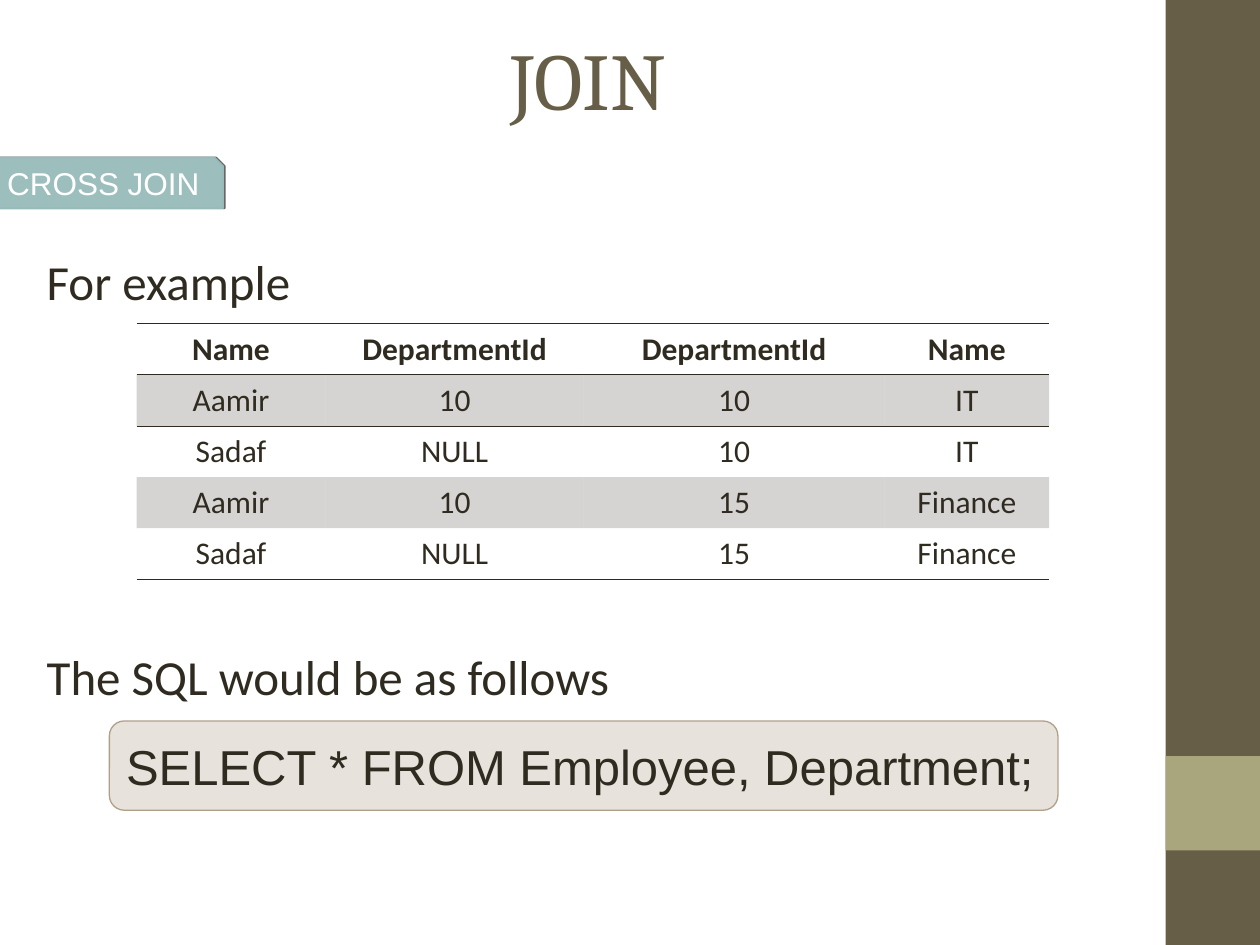
from dataclasses import dataclass

from lxml import etree
from pptx import Presentation
from pptx import util as u
from pptx.dml.color import RGBColor
from pptx.enum import shapes, text
from pptx.oxml.ns import qn

Pt = u.Pt
LEFT, MID, JUST = text.PP_ALIGN.LEFT, text.PP_ALIGN.CENTER, text.PP_ALIGN.JUSTIFY


@dataclass(frozen=True)
class Theme:
    olive: str = "675E47"
    sage: str = "A9A57C"
    teal: str = "9CBEBD"
    edge: str = "98BBB9"
    sand: str = "B1A089"
    ink: str = "2F2B20"
    white: str = "FFFFFF"
    black: str = "000000"
    serif: str = "Cambria"
    sans: str = "Calibri"
    plain: str = "Arial"
    head: float = 46
    body: float = 28
    small: float = 18


T = Theme()


def sub(node, tag, **attrs):
    kid = etree.SubElement(node, qn(tag))
    for key, val in attrs.items():
        kid.set(key, str(val))
    return kid


def place(shape, box):
    shape.left, shape.top, shape.width, shape.height = map(Pt, box)


def paint(fill, color, alpha=None):
    fill.solid()
    fill.fore_color.rgb = RGBColor.from_string(color)
    if alpha:
        node = fill._xPr.find(qn("a:solidFill"))[0]
        sub(node, "a:alpha", val=alpha * 1000)


def style(shape, color, line=None, width=1, alpha=None):
    shape.shadow.inherit = False
    paint(shape.fill, color, alpha)
    if line:
        paint(shape.line.fill, line)
        shape.line.width = Pt(width)
    else:
        shape.line.fill.background()


def write(para, words, font, size, color, align=LEFT, bold=False):
    para.alignment = align
    run = para.add_run()
    run.text = words
    run.font.name, run.font.size, run.font.bold = font, Pt(size), bold
    run.font.color.rgb = RGBColor.from_string(color)


def set_frame(shape, anchor):
    frame = shape.text_frame
    frame.word_wrap = True
    frame.auto_size = text.MSO_AUTO_SIZE.NONE
    frame.vertical_anchor = anchor
    return frame


# Side bar with its accent square
def add_bar(slide, box):
    x, y, w, h = box
    for color, part in ((T.olive, box), (T.sage, (x, y + 0.8 * h, w, w))):
        rect = slide.shapes.add_shape(shapes.MSO_SHAPE.RECTANGLE, *map(Pt, part))
        style(rect, color)


def add_title(slide, box, words):
    title = slide.shapes.title
    place(title, box)
    frame = set_frame(title, text.MSO_ANCHOR.MIDDLE)
    write(frame.paragraphs[0], words, T.serif, T.head, T.olive, MID)


# Topic tag with a cut corner and a thin shadow to the right
def add_tag(slide, box, words, cut=5):
    x, y, w, h = box
    pen = slide.shapes.build_freeform(Pt(x), Pt(y))
    ends = [(x + w - cut, y), (x + w, y + cut), (x + w, y + h), (x, y + h)]
    pen.add_line_segments([(Pt(a), Pt(b)) for a, b in ends], close=True)
    tag = pen.convert_to_shape()
    style(tag, T.teal, T.edge)
    glow = tag._element.spPr.find(qn("a:effectLst"))
    shade = sub(glow, "a:outerShdw", blurRad=0, dist=Pt(1), dir=0)
    tint = sub(shade, "a:srgbClr", val=T.black)
    sub(tint, "a:alpha", val=60000)
    frame = set_frame(tag, text.MSO_ANCHOR.MIDDLE)
    write(frame.paragraphs[0], words, T.plain, T.small, T.white, JUST)


# Body lines, spread apart to leave room for the table
def add_body(slide, box, lines, gap):
    body = slide.placeholders[1]
    place(body, box)
    frame = set_frame(body, text.MSO_ANCHOR.TOP)
    for i, words in enumerate(lines):
        para = frame.add_paragraph() if i else frame.paragraphs[0]
        props = para._p.get_or_add_pPr()
        props.set("marL", "0")
        props.set("indent", "0")
        sub(props, "a:buNone")
        para.space_before = Pt(gap if i else 0)
        write(para, words, T.sans, T.body, T.ink)


def rule(cell, side):
    line = etree.Element(qn(side), w=str(Pt(0.45)))
    tint = sub(line, "a:solidFill")
    sub(tint, "a:srgbClr", val=T.ink)
    cell._tc.get_or_add_tcPr().insert(0, line)


# Result table: shaded odd rows, rules round the header and at the foot
def add_grid(slide, box, rows, cols):
    last = len(rows) - 1
    grid = slide.shapes.add_table(len(rows), len(cols), *map(Pt, box)).table
    grid.first_row = grid.horz_banding = False
    look = grid._tbl.tblPr.find(qn("a:tableStyleId"))
    look.text = "{2D5ABB26-0587-4C30-8999-92F81FD0307C}"
    for col, width in zip(grid.columns, cols):
        col.width = Pt(width)
    for r, row in enumerate(rows):
        for c, words in enumerate(row):
            cell = grid.cell(r, c)
            if r % 2:
                paint(cell.fill, T.ink, 20)
            else:
                cell.fill.background()
            if r in (0, last):
                rule(cell, "a:lnB")
            if r in (0, 1):
                rule(cell, "a:lnT")
            para = cell.text_frame.paragraphs[0]
            write(para, words, T.sans, T.small, T.ink, MID, r == 0)


# Rounded box with the SQL statement
def add_code(slide, box, words):
    kind = shapes.MSO_SHAPE.ROUNDED_RECTANGLE
    code = slide.shapes.add_shape(kind, *map(Pt, box))
    style(code, T.sand, T.sand, 0.75, 30)
    frame = set_frame(code, text.MSO_ANCHOR.MIDDLE)
    write(frame.paragraphs[0], words, T.plain, T.body, T.ink)


def main():
    deck = Presentation()
    deck.slide_width, deck.slide_height = Pt(720), Pt(540)
    slide = deck.slides.add_slide(deck.slide_layouts[1])
    add_bar(slide, (666, 0, 54, 540))
    add_title(slide, (36, 0, 600, 90), "JOIN")
    add_tag(slide, (-3, 90, 130.5, 29), "CROSS JOIN")
    lines = ["For example", "The SQL would be as follows"]
    add_body(slide, (19.5, 140, 682, 85), lines, 192)
    rows = [
        ("Name", "DepartmentId", "DepartmentId", "Name"),
        ("Aamir", "10", "10", "IT"),
        ("Sadaf", "NULL", "10", "IT"),
        ("Aamir", "10", "15", "Finance"),
        ("Sadaf", "NULL", "15", "Finance"),
    ]
    add_grid(slide, (78, 185, 521.5, 146), rows, (108, 147.5, 172, 94))
    add_code(slide, (62.5, 412, 542, 51), "SELECT * FROM Employee, Department;")
    deck.save("out.pptx")


if __name__ == "__main__":
    main()
